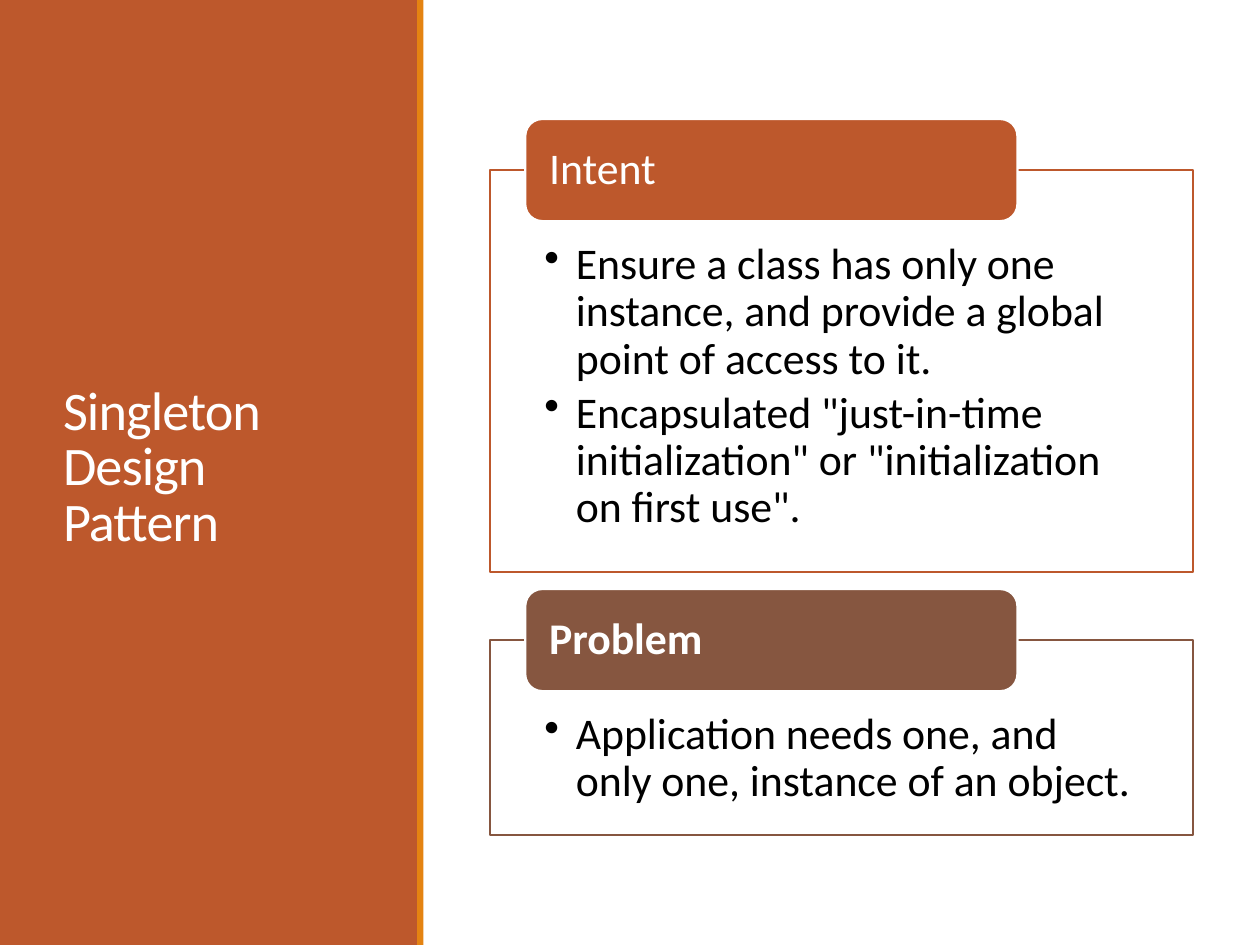
import pptx
import pptx.dml.color
import pptx.enum.shapes
import pptx.enum.text
import pptx.oxml
import pptx.oxml.ns
import pptx.util
from lxml import etree

WIDTH, HEIGHT = 10, 7.5
RUST, ORANGE, BROWN = "BD582C", "E48312", "865640"
WHITE, BLACK = "FFFFFF", "000000"
CARD_LEFT, CARD_WIDTH = 3.89, 5.58
TAB_INDENT, TAB_HEIGHT = 0.05, 0.81
TAB_SHARE = 0.7
BULLET_INDENT = 0.25
SHAPES = pptx.enum.shapes.MSO_SHAPE
ANCHORS = pptx.enum.text.MSO_ANCHOR

CARDS = [
    ("Intent", False, RUST, 1.35, 3.19, [
        "Ensure a class has only one instance, and provide a global point of access to it.",
        'Encapsulated "just-in-time initialization" or "initialization on first use".',
    ]),
    ("Problem", True, BROWN, 5.08, 1.55, [
        "Application needs one, and only one, instance of an object.",
    ]),
]


def rgb(value):
    """Turn a hex string into a colour."""
    return pptx.dml.color.RGBColor.from_string(value)


def add_block(slide, kind, place, fill, line=None):
    """Add a filled shape with an optional outline."""
    block = slide.shapes.add_shape(kind, *map(pptx.util.Inches, place))
    block.shadow.inherit = False
    block.fill.solid()
    block.fill.fore_color.rgb = rgb(fill)
    if line:
        block.line.color.rgb = rgb(line)
        block.line.width = pptx.util.Pt(1.25)
    else:
        block.line.fill.background()
    return block


def add_bullet(paragraph):
    """Give a paragraph a hanging round bullet."""
    properties = paragraph._p.get_or_add_pPr()
    indent = pptx.util.Inches(BULLET_INDENT)
    properties.set("marL", str(indent))
    properties.set("indent", str(-indent))
    etree.SubElement(properties, pptx.oxml.ns.qn("a:buChar")).set("char", "•")


def write(shape, lines, *, size=25, color=WHITE, bold=False, bullets=False,
          spacing=0.9, after=0, tracking=0, insets=(0.1, 0.05, 0.1, 0.05),
          anchor=ANCHORS.MIDDLE):
    """Fill a shape with formatted paragraphs."""
    frame = shape.text_frame
    frame.word_wrap = True
    frame.auto_size = pptx.enum.text.MSO_AUTO_SIZE.NONE
    frame.vertical_anchor = anchor
    (frame.margin_left, frame.margin_top,
     frame.margin_right, frame.margin_bottom) = map(pptx.util.Inches, insets)
    frame.text = "\n".join(lines)
    for paragraph in frame.paragraphs:
        if bullets:
            add_bullet(paragraph)
        paragraph.alignment = pptx.enum.text.PP_ALIGN.LEFT
        paragraph.line_spacing = spacing
        paragraph.space_before = pptx.util.Pt(0)
        paragraph.space_after = pptx.util.Pt(after)
        for run in paragraph.runs:
            run.font.name = "Calibri"
            run.font.size = pptx.util.Pt(size)
            run.font.bold = bold
            run.font.color.rgb = rgb(color)
            if tracking:
                run.font._element.set("spc", str(round(tracking * 100)))


def add_sidebar(slide, heading):
    """Place the title on a coloured side panel with an accent strip."""
    title = slide.shapes.title
    title.left, title.top, title.width, title.height = map(
        pptx.util.Inches, (0.4, 0.57, 2.53, 6.31))
    panel = add_block(slide, SHAPES.RECTANGLE, (0, 0, 3.32, HEIGHT), RUST)
    title._element.addprevious(panel._element)
    write(title, [heading], size=31, spacing=0.85, tracking=-0.5)
    add_block(slide, SHAPES.RECTANGLE, (3.31, 0, 0.05, HEIGHT), ORANGE)


def add_card(slide, heading, bold, color, top, height, points):
    """Add an outlined list with a heading tab across its top edge."""
    body = add_block(slide, SHAPES.RECTANGLE,
                     (CARD_LEFT, top, CARD_WIDTH, height), WHITE, color)
    write(body, points, color=BLACK, bullets=True, after=4,
          insets=(0.43, 0.57, 0.43, 0.19), anchor=ANCHORS.TOP)
    tab = add_block(slide, SHAPES.ROUNDED_RECTANGLE,
                    (CARD_LEFT + TAB_INDENT * CARD_WIDTH, top - TAB_HEIGHT / 2,
                     TAB_SHARE * CARD_WIDTH, TAB_HEIGHT), color, WHITE)
    write(tab, [heading], bold=bold, insets=(0.15, 0, 0.15, 0))


def main():
    """Build and save the slide."""
    deck = pptx.Presentation()
    deck.slide_width = pptx.util.Inches(WIDTH)
    deck.slide_height = pptx.util.Inches(HEIGHT)
    slide = deck.slides.add_slide(deck.slide_layouts.get_by_name("Title Only"))
    add_sidebar(slide, "Singleton Design Pattern")
    for card in CARDS:
        add_card(slide, *card)
    deck.save("out.pptx")


if __name__ == "__main__":
    main()
